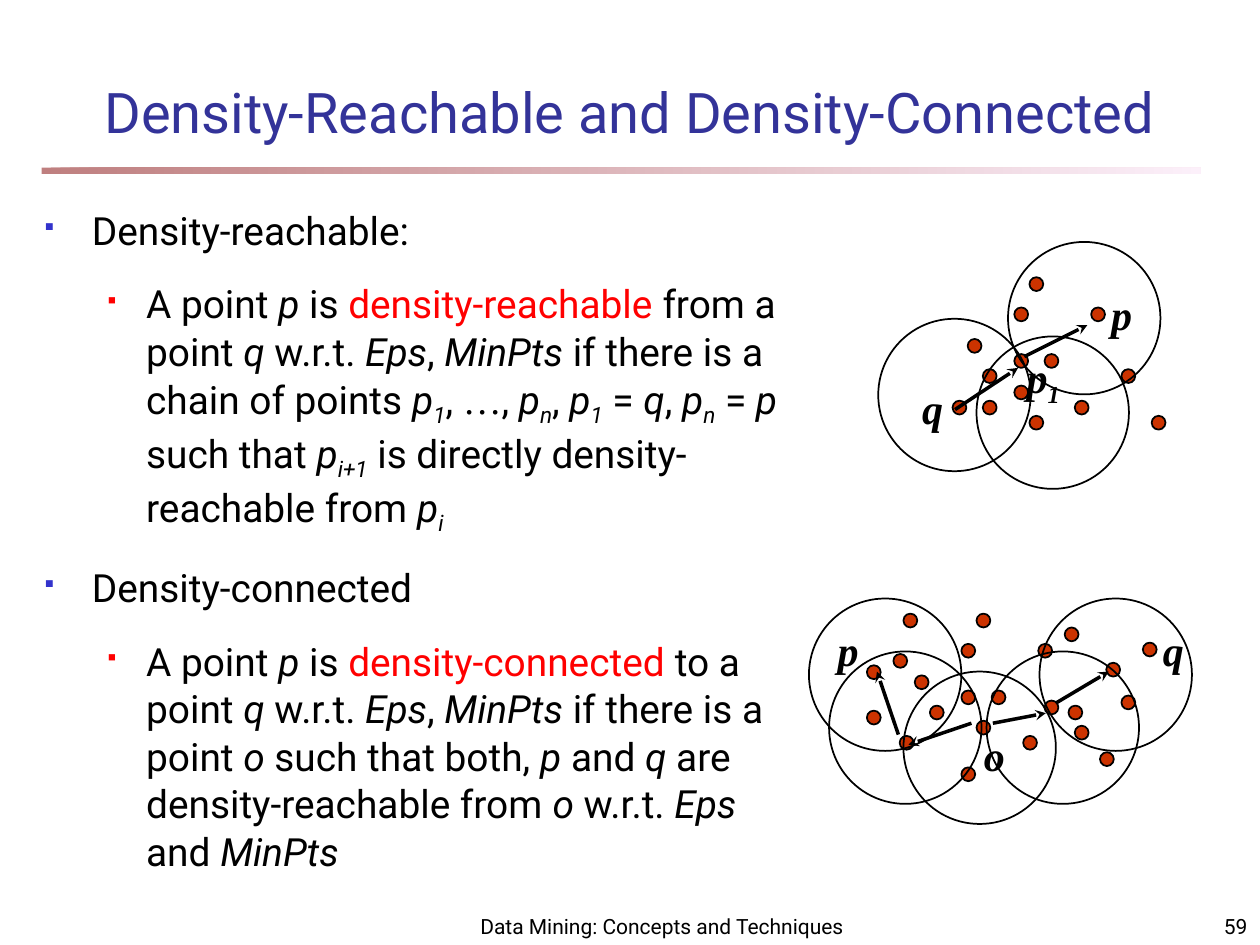
from pptx import Presentation
from pptx.dml.color import RGBColor
from pptx.enum.shapes import MSO_CONNECTOR, MSO_SHAPE
from pptx.enum.text import MSO_ANCHOR, MSO_AUTO_SIZE, PP_ALIGN
from pptx.oxml.ns import qn
from pptx.util import Inches, Pt
from lxml import etree

OVAL, RECT = MSO_SHAPE.OVAL, MSO_SHAPE.RECTANGLE
LINE = MSO_CONNECTOR.STRAIGHT
LEFT, MID, RIGHT = PP_ALIGN.LEFT, PP_ALIGN.CENTER, PP_ALIGN.RIGHT
TOP, CENTER, BOTTOM = MSO_ANCHOR.TOP, MSO_ANCHOR.MIDDLE, MSO_ANCHOR.BOTTOM
FIXED = MSO_AUTO_SIZE.NONE

SANS, SERIF = "Roboto", "Times New Roman"
COLORS = {"ink": "000000", "title": "333399", "key": "FF0000",
          "blue": "3333CC", "dot": "CC3300", "dark": "800000",
          "pale": "FAE2F6"}
DOT, RING = 0.11, 1.21

# A leading "/" marks italic, "_" italic subscript, "*" a key term.
REACH = ["A point ", "/p", " is ", "*density-reachable", " from a point ",
         "/q", " w.r.t. ", "/Eps", ", ", "/MinPts",
         " if there is a chain of points ", "/p", "_1", ", ", "…", ", ",
         "/p", "_n", ", ", "/p", "_1", " = ", "/q", ", ", "/p", "_n",
         " = ", "/p", " such that ", "/p", "_i+1",
         " is directly density-reachable from ", "/p", "_i"]
CONNECT = ["A point ", "/p", " is ", "*density-connected", " to a point ",
           "/q", " w.r.t. ", "/Eps", ", ", "/MinPts",
           " if there is a point ", "/o ", "such that both, ", "/p", " and ",
           "/q", " are density-reachable from ", "/o", " w.r.t. ", "/Eps",
           " and ", "/MinPts"]
POINTS = [(0, ["Density-reachable:"]), (1, REACH),
          (0, ["Density-connected"]), (1, CONNECT)]
LEVELS = [(0.38, -0.38, "blue", 60), (0.81, -0.31, "key", 55)]

CHAIN = {
    "dots": [(7.68, 2.69), (8.05, 2.81), (8.05, 2.44), (7.56, 3.18),
             (7.8, 2.93), (7.8, 3.18), (8.17, 3.3), (8.17, 2.2),
             (8.9, 2.93), (8.66, 2.44), (8.05, 3.06), (8.29, 2.81),
             (8.53, 3.18), (9.14, 3.3)],
    "rings": [(7.75, 2.67), (6.97, 2.53), (8, 1.92)],
    "arrows": [(8.13, 2.83, 8.63, 2.58), (7.58, 3.25, 8.08, 2.92)],
    "names": [(8.72, 2.24, 0.42, ["p"]), (7.22, 2.99, 0.42, ["q"]),
              (8.05, 2.74, 0.67, ["p", "_1"])],
}
LINKS = {
    "dots": [(7.26, 5.36), (7.63, 5.48), (7.63, 5.11), (7.14, 5.84),
             (7.38, 5.6), (7.63, 6.09), (7.75, 5.72), (7.75, 4.87),
             (8.48, 5.6), (8.24, 5.11), (6.88, 5.64), (7.87, 5.48),
             (8.12, 5.84), (8.73, 5.97), (8.9, 5.52), (8.29, 5.56),
             (8.53, 5.76), (9.07, 5.1), (8.45, 4.98), (8.78, 5.26),
             (7.09, 5.19), (6.88, 5.28), (7.17, 4.87)],
    "rings": [(6.58, 5.17), (7.17, 5.33), (7.83, 5.17), (8.25, 4.75),
              (6.42, 4.75)],
    "arrows": [(7.71, 5.74, 7.21, 5.91), (7.88, 5.74, 8.3, 5.66),
               (7.13, 5.83, 6.96, 5.33), (8.38, 5.58, 8.8, 5.33)],
    "names": [(6.55, 4.91, 0.42, ["p"]), (9.13, 4.91, 0.42, ["q"]),
              (7.71, 5.74, 0.42, ["o"])],
}


def rgb(name):
    return RGBColor.from_string(COLORS[name])


def node(parent, tag, **attrs):
    return etree.SubElement(parent, qn(tag), attrs)


def place(shape, x, y, w, h):
    shape.left, shape.top = Inches(x), Inches(y)
    shape.width, shape.height = Inches(w), Inches(h)


def write(para, text, size, face=SANS, color="ink", bold=False, slant=False):
    mark = text[0] if text[0] in "/_*" else ""
    run = para.add_run()
    run.text = text[len(mark):]
    font = run.font
    font.name = SERIF if text == "…" else face
    font.size, font.bold = Pt(size), bold
    font.italic = slant or mark in ("/", "_")
    font.color.rgb = rgb("key" if mark == "*" else color)
    if mark == "_":
        run._r.get_or_add_rPr().set("baseline", "-25000")


def frame(shape, anchor):
    text = shape.text_frame
    text.word_wrap, text.auto_size = True, FIXED
    text.vertical_anchor = anchor
    return text


def label(shapes, x, y, w, h, parts, size, align, anchor=TOP, **style):
    box = shapes.add_textbox(Inches(x), Inches(y), Inches(w), Inches(h))
    para = frame(box, anchor).paragraphs[0]
    para.alignment = align
    for part in parts:
        write(para, part, size, **style)


def bullet(para, level):
    left, hang, color, size = LEVELS[level]
    para.level = level
    props = para._p.get_or_add_pPr()
    props.set("marL", str(Inches(left)))
    props.set("indent", str(Inches(hang)))
    node(node(props, "a:buClr"), "a:srgbClr", val=COLORS[color])
    node(props, "a:buSzPct", val=str(size * 1000))
    node(props, "a:buFont", typeface="Wingdings")
    node(props, "a:buChar", char="§")


def head(slide):
    title = slide.shapes.title
    place(title, 0, 0.42, 10, 0.92)
    para = frame(title, CENTER).paragraphs[0]
    para.alignment = MID
    write(para, "Density-Reachable and Density-Connected", 32, color="title")


def body(slide):
    box = slide.placeholders[1]
    place(box, 0.25, 1.58, 6.17, 5.5)
    text = frame(box, TOP)
    for i, (level, parts) in enumerate(POINTS):
        para = text.add_paragraph() if i else text.paragraphs[0]
        bullet(para, level)
        para.space_before = Pt(15 if i else 0)
        para.line_spacing = 1.02
        for part in parts:
            write(para, part, 22.2)


def rule(shapes):
    bar = shapes.add_shape(RECT, Inches(0.33), Inches(1.33),
                           Inches(9.2), Inches(0.05))
    bar.shadow.inherit = False
    bar.line.fill.background()
    bar.fill.gradient()
    bar.fill.gradient_angle = 0
    for stop, name in zip(bar.fill.gradient_stops, ("dark", "pale")):
        stop.color.rgb = rgb(name)
    for color in bar._element.spPr.iter(qn("a:srgbClr")):
        node(color, "a:alpha", val="50000")


def disc(shapes, x, y, size, fill=None):
    oval = shapes.add_shape(OVAL, Inches(x), Inches(y),
                            Inches(size), Inches(size))
    oval.shadow.inherit = False
    if fill:
        oval.fill.solid()
        oval.fill.fore_color.rgb = rgb(fill)
    else:
        oval.fill.background()
    oval.line.color.rgb = rgb("ink")
    oval.line.width = Pt(1)


def arrow(shapes, *ends):
    line = shapes.add_connector(LINE, *map(Inches, ends))
    line.line.color.rgb = rgb("ink")
    line.line.width = Pt(2)
    node(line.line._get_or_add_ln(), "a:tailEnd", type="stealth")
    node(line._element.spPr, "a:effectLst")


def graph(shapes, parts):
    for x, y in parts["dots"]:
        disc(shapes, x, y, DOT, "dot")
    for x, y in parts["rings"]:
        disc(shapes, x, y, RING)
    for ends in parts["arrows"]:
        arrow(shapes, *ends)
    for x, y, w, text in parts["names"]:
        label(shapes, x, y, w, 0.5, text, 24, LEFT,
              face=SERIF, bold=True, slant=True)


def main():
    deck = Presentation()
    deck.slide_width, deck.slide_height = Inches(10), Inches(7.5)
    slide = deck.slides.add_slide(deck.slide_layouts[1])
    shapes = slide.shapes
    rule(shapes)
    label(shapes, 3.67, 7.08, 3.17, 0.42,
          ["Data Mining: Concepts and Techniques"], 12, MID, BOTTOM)
    label(shapes, 7.92, 7.08, 2.08, 0.42, ["59"], 12, RIGHT, BOTTOM)
    head(slide)
    body(slide)
    graph(shapes, CHAIN)
    graph(shapes.add_group_shape().shapes, LINKS)
    deck.save("out.pptx")


if __name__ == "__main__":
    main()
